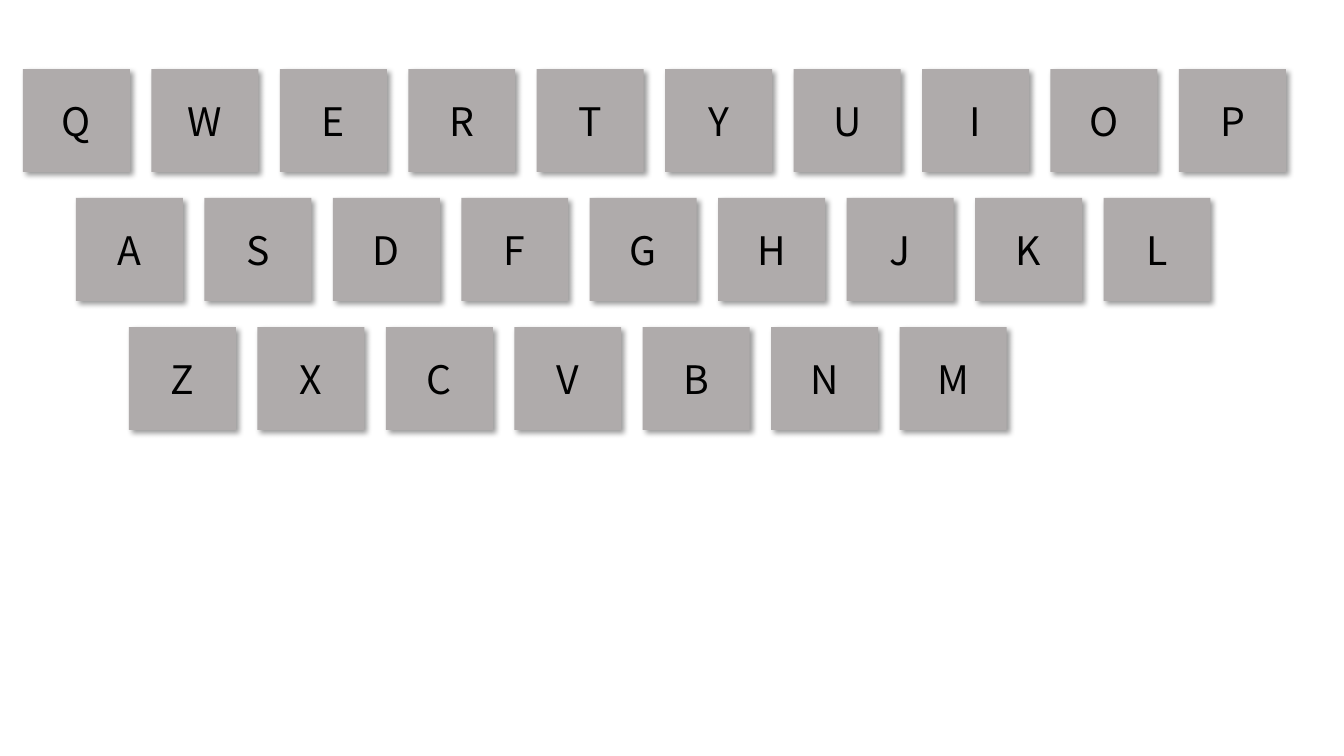
from lxml import etree
from pptx import Presentation, util as u
from pptx.dml.color import RGBColor
from pptx.enum import shapes, text
from pptx.oxml.ns import qn

KEY_ROWS = ["QWERTYUIOP", "ASDFGHJKL", "ZXCVBNM"]

KEY_GREY = RGBColor(0xAF, 0xAB, 0xAB)
BLACK = RGBColor(0, 0, 0)
FONT = "Noto Sans CJK JP"

EMU_PER_PX = 914400 / 100.8
SLIDE_WIDTH, SLIDE_HEIGHT = 1344, 756
KEY_WIDTH, KEY_HEIGHT = 107, 103
FIRST_LEFT, LAST_LEFT = 23, 1179
FIRST_TOP, ROW_PITCH, ROW_INDENT = 69, 129, 53
KEY_PITCH = (LAST_LEFT - FIRST_LEFT) / (len(KEY_ROWS[0]) - 1)


def px(length):
    return u.Emu(round(length * EMU_PER_PX))


def write_text(shape, content, *, size, color, font=FONT):
    frame = shape.text_frame
    frame.vertical_anchor = text.MSO_ANCHOR.MIDDLE
    paragraph = frame.paragraphs[0]
    paragraph.alignment = text.PP_ALIGN.CENTER
    run = paragraph.add_run()
    run.text = content
    run.font.size = u.Pt(size)
    run.font.color.rgb = color
    run.font.name = font


def add_shadow(shape, *, color, opacity, blur, distance, angle):
    """Give the shape an outer shadow; lengths in points, opacity in percent."""
    shape.shadow.inherit = False
    effects = shape._element.spPr.find(qn("a:effectLst"))
    shadow = etree.SubElement(
        effects, qn("a:outerShdw"), blurRad=str(u.Pt(blur)),
        dist=str(u.Pt(distance)), dir=str(angle * 60000),
        algn="tl", rotWithShape="0")
    shade = etree.SubElement(shadow, qn("a:srgbClr"), val=str(color))
    etree.SubElement(shade, qn("a:alpha"), val=str(opacity * 1000))


def add_key(slide, letter, left, top):
    key = slide.shapes.add_shape(
        shapes.MSO_SHAPE.RECTANGLE,
        px(left), px(top), px(KEY_WIDTH), px(KEY_HEIGHT))
    key.fill.solid()
    key.fill.fore_color.rgb = KEY_GREY
    key.line.fill.background()
    add_shadow(key, color=BLACK, opacity=40, blur=4, distance=3, angle=45)
    write_text(key, letter, size=28, color=BLACK)


def main():
    presentation = Presentation()
    presentation.slide_width = px(SLIDE_WIDTH)
    presentation.slide_height = px(SLIDE_HEIGHT)
    slide = presentation.slides.add_slide(presentation.slide_layouts[6])
    for row, letters in enumerate(KEY_ROWS):
        for column, letter in enumerate(letters):
            add_key(slide, letter,
                    left=FIRST_LEFT + row * ROW_INDENT + column * KEY_PITCH,
                    top=FIRST_TOP + row * ROW_PITCH)
    presentation.save("out.pptx")


if __name__ == "__main__":
    main()
